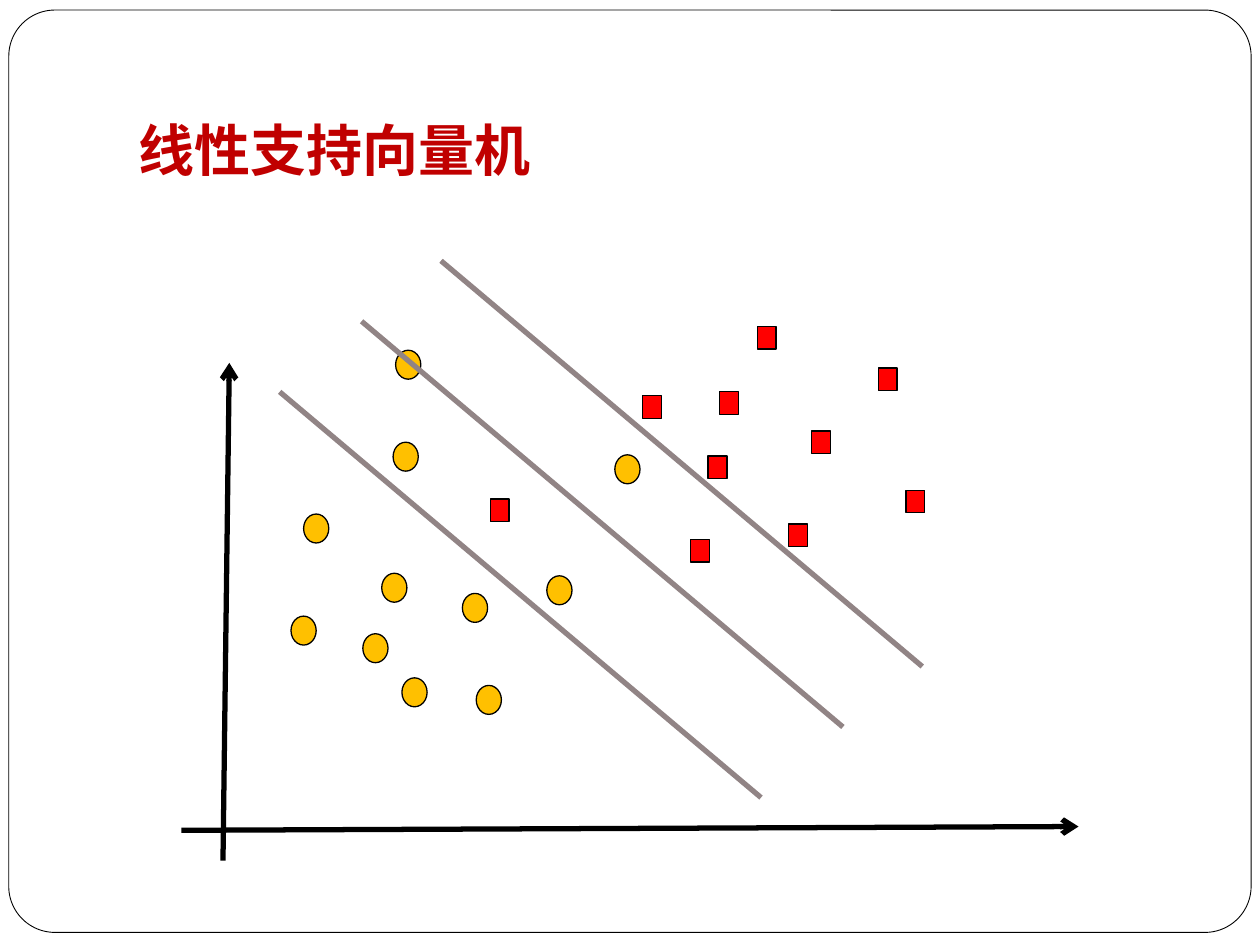
from typing import NamedTuple

from lxml import etree
from pptx import Presentation
from pptx import util as u
from pptx.dml.color import RGBColor
from pptx.enum import shapes, text
from pptx.oxml.ns import qn

PX = 9144
BLACK, WHITE, RED, AMBER, GREY, TITLE = (
    "000000", "FFFFFF", "FF0000", "FFC000", "918485", "C00000")


class Marker(NamedTuple):
    kind: shapes.MSO_SHAPE
    w: int
    h: int
    fill: str
    points: list[tuple[int, int]]


class Segment(NamedTuple):
    x1: int
    y1: int
    x2: int
    y2: int
    color: str
    arrow: bool = False


def px(n: int) -> u.Emu:
    return u.Emu(n * PX)


def rgb(color: str) -> RGBColor:
    return RGBColor.from_string(color)


def add_box(s, kind: shapes.MSO_SHAPE, x: int, y: int, w: int, h: int,
            fill: str, weight: float):
    sp = s.shapes.add_shape(kind, px(x), px(y), px(w), px(h))
    sp.shadow.inherit = False
    sp.fill.solid()
    sp.fill.fore_color.rgb = rgb(fill)
    sp.line.color.rgb = rgb(BLACK)
    sp.line.width = u.Pt(weight)
    return sp


def add_markers(s, m: Marker) -> None:
    for x, y in m.points:
        add_box(s, m.kind, x, y, m.w, m.h, m.fill, 0.75)


def add_segment(s, g: Segment) -> None:
    ln = s.shapes.add_connector(shapes.MSO_CONNECTOR.STRAIGHT,
                                px(g.x1), px(g.y1), px(g.x2), px(g.y2))
    ln.line.color.rgb = rgb(g.color)
    ln.line.width = u.Pt(3)
    if g.arrow:
        etree.SubElement(ln.line._get_or_add_ln(), qn("a:tailEnd"), type="arrow")
    etree.SubElement(ln._element.spPr, qn("a:effectLst"))


def add_title(s, words: str) -> None:
    tf = s.shapes.add_textbox(px(100), px(30), px(850), px(125)).text_frame
    tf.word_wrap = True
    tf.vertical_anchor = text.MSO_ANCHOR.BOTTOM
    tf.margin_left = tf.margin_right = tf.margin_bottom = px(10)
    tf.margin_top = px(5)
    r = tf.paragraphs[0].add_run()
    r.text = words
    r.font.name = "Times New Roman"
    r.font.size = u.Pt(32)
    r.font.bold = True
    r.font.color.rgb = rgb(TITLE)


CIRCLES = Marker(shapes.MSO_SHAPE.OVAL, 20, 23, AMBER, [
    (367, 471), (241, 408), (378, 544), (288, 503), (434, 457), (312, 351),
    (303, 455), (231, 489), (319, 538), (314, 278), (488, 361)])
SQUARES = Marker(shapes.MSO_SHAPE.RECTANGLE, 15, 18, RED, [
    (510, 314), (601, 259), (644, 342), (571, 311), (626, 416), (562, 362),
    (719, 389), (697, 292), (389, 396), (548, 428)])
AXES = [Segment(144, 659, 856, 656, BLACK, True),
        Segment(177, 683, 182, 288, BLACK, True)]
MARGINS = [Segment(x, y, x + 382, y + 322, GREY)
           for x, y in [(287, 255), (350, 207), (222, 311)]]


def main() -> None:
    prs = Presentation()
    prs.slide_width, prs.slide_height = px(1000), px(750)
    s = prs.slides.add_slide(prs.slide_layouts[6])
    frame = add_box(s, shapes.MSO_SHAPE.ROUNDED_RECTANGLE, 7, 8, 986, 732, WHITE, 0.5)
    frame.adjustments[0] = 0.05
    add_title(s, "线性支持向量机")
    for axis in AXES:
        add_segment(s, axis)
    for group in (CIRCLES, SQUARES):
        add_markers(s, group)
    for margin in MARGINS:
        add_segment(s, margin)
    prs.save("out.pptx")


if __name__ == "__main__":
    main()
